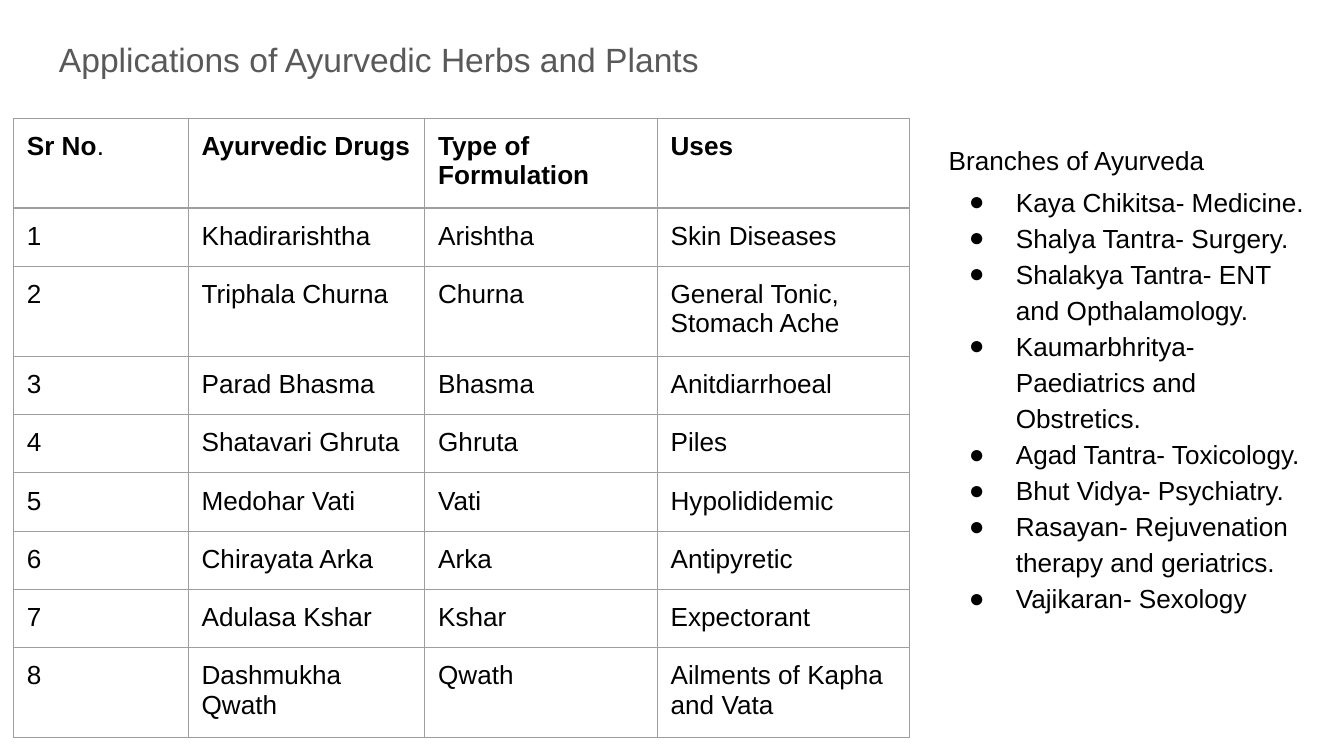
"""Build the slide on Ayurvedic drugs and the branches of Ayurveda."""
from lxml.etree import SubElement
from pptx import Presentation
from pptx.dml.color import RGBColor
from pptx.enum.text import MSO_ANCHOR, MSO_AUTO_SIZE
from pptx.oxml.ns import qn
from pptx.util import Inches, Pt

BLACK = "000000"
GRID_GREY = "9E9E9E"
TITLE_GREY = "595959"

COLUMN_WIDTHS = [1.3, 1.76, 1.73, 1.88]
ROW_HEIGHT, TALL_ROW_HEIGHT = 0.43, 0.67
TALL_ROWS = {2, 8}
HEADINGS = ["Sr No", "Ayurvedic Drugs", "Type of Formulation", "Uses"]
DRUGS = [
    ("Khadirarishtha", "Arishtha", "Skin Diseases"),
    ("Triphala Churna", "Churna", "General Tonic, Stomach Ache"),
    ("Parad Bhasma", "Bhasma", "Anitdiarrhoeal"),
    ("Shatavari Ghruta", "Ghruta", "Piles"),
    ("Medohar Vati", "Vati", "Hypolididemic"),
    ("Chirayata Arka", "Arka", "Antipyretic"),
    ("Adulasa Kshar", "Kshar", "Expectorant"),
    ("Dashmukha Qwath", "Qwath", "Ailments of Kapha and Vata"),
]
BRANCHES = [
    "Kaya Chikitsa- Medicine.",
    "Shalya Tantra- Surgery.",
    "Shalakya Tantra- ENT and Opthalamology.",
    "Kaumarbhritya- Paediatrics and Obstretics.",
    "Agad Tantra- Toxicology.",
    "Bhut Vidya- Psychiatry.",
    "Rasayan- Rejuvenation therapy and geriatrics.",
    "Vajikaran- Sexology",
]


def color(hex_value):
    """Turn a hex string into a colour."""
    return RGBColor.from_string(hex_value)


def apply_format(target, settings):
    """Set each named attribute on the target."""
    for name, value in settings.items():
        setattr(target, name, value)


def add_run(paragraph, text, size=14, hex_value=BLACK, bold=False):
    """Append a formatted run to the paragraph."""
    run = paragraph.add_run()
    run.text = text
    apply_format(run.font, {"name": "Arial", "size": Pt(size), "bold": bold})
    run.font.color.rgb = color(hex_value)


def add_text_frame(slide, left, top, width, height, **settings):
    """Add a wrapping text box with even margins and return its frame."""
    box = slide.shapes.add_textbox(*map(Inches, (left, top, width, height)))
    margins = {f"margin_{side}": Inches(0.1)
               for side in ("left", "top", "right", "bottom")}
    apply_format(box.text_frame, {"word_wrap": True, **margins, **settings})
    return box.text_frame


def add_bullet(paragraph):
    """Give the paragraph a hanging round bullet."""
    properties = paragraph._p.get_or_add_pPr()
    properties.set("marL", str(Inches(0.5)))
    properties.set("indent", str(Inches(-0.35)))
    bullet_color = SubElement(properties, qn("a:buClr"))
    SubElement(bullet_color, qn("a:srgbClr"), val=BLACK)
    SubElement(properties, qn("a:buSzPts"), val="1400")
    SubElement(properties, qn("a:buFont"), typeface="Arial")
    SubElement(properties, qn("a:buChar"), char="●")


def style_cell(cell):
    """Give the cell thin grey borders, even margins and no fill."""
    properties = cell._tc.get_or_add_tcPr()
    for side in ("lnL", "lnR", "lnT", "lnB"):
        border = SubElement(properties, qn(f"a:{side}"), w=str(Pt(0.75)))
        fill = SubElement(border, qn("a:solidFill"))
        SubElement(fill, qn("a:srgbClr"), val=GRID_GREY)
    for side in ("left", "top", "right", "bottom"):
        setattr(cell, f"margin_{side}", Inches(0.1))
    cell.fill.background()


def add_drug_table(slide):
    """Add the numbered table of drugs, formulations and uses."""
    rows = [HEADINGS] + [(str(number), *drug)
                         for number, drug in enumerate(DRUGS, 1)]
    frame = slide.shapes.add_table(
        len(rows), len(HEADINGS), Inches(0.1), Inches(0.88),
        Inches(3.28), Inches(3.28))
    table = frame.table
    apply_format(table, {"first_row": False, "horz_banding": False})
    for column, width in zip(table.columns, COLUMN_WIDTHS):
        column.width = Inches(width)
    for index, (row, values) in enumerate(zip(table.rows, rows)):
        row.height = Inches(TALL_ROW_HEIGHT if index in TALL_ROWS
                            else ROW_HEIGHT)
        for cell, value in zip(row.cells, values):
            style_cell(cell)
            add_run(cell.text_frame.paragraphs[0], value, bold=index == 0)
    add_run(table.cell(0, 0).text_frame.paragraphs[0], ".")
    apply_format(frame, {"width": Inches(3.28), "height": Inches(3.28)})


def add_branches(slide):
    """Add the heading and bulleted list of branches."""
    frame = add_text_frame(slide, 6.96, 0.94, 2.85, 3.73,
                           auto_size=MSO_AUTO_SIZE.SHAPE_TO_FIT_TEXT)
    heading = frame.paragraphs[0]
    heading.line_spacing = 1.15
    add_run(heading, "Branches of Ayurveda")
    for index, branch in enumerate(BRANCHES):
        item = frame.add_paragraph()
        add_bullet(item)
        apply_format(item, {"line_spacing": 1.15,
                            "space_before": Pt(0 if index else 3)})
        add_run(item, branch)


def main():
    """Build and save the slide."""
    deck = Presentation()
    deck.slide_width = Inches(10)
    deck.slide_height = Inches(5.625)
    slide = deck.slides.add_slide(deck.slide_layouts[6])
    title = add_text_frame(slide, 0.34, 0.18, 9.32, 0.52,
                           vertical_anchor=MSO_ANCHOR.MIDDLE)
    add_run(title.paragraphs[0], "Applications of Ayurvedic Herbs and Plants",
            size=18, hex_value=TITLE_GREY)
    add_drug_table(slide)
    add_branches(slide)
    deck.save("out.pptx")


if __name__ == "__main__":
    main()
